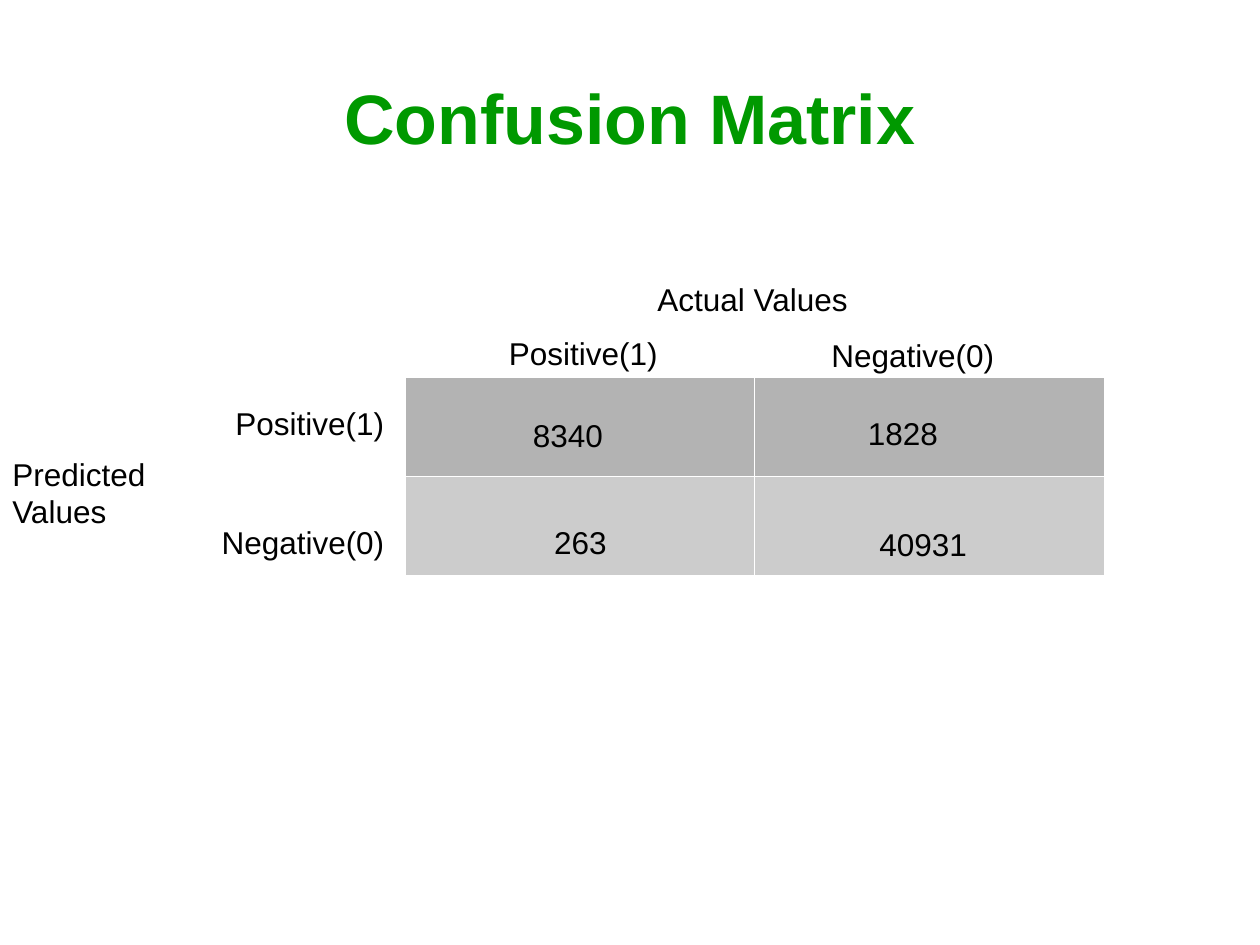
from dataclasses import dataclass
from typing import Any

from lxml.etree import SubElement
from pptx import Presentation
from pptx.dml.color import RGBColor
from pptx.enum.text import MSO_ANCHOR, MSO_AUTO_SIZE, PP_ALIGN
from pptx.oxml.ns import qn
from pptx.util import Pt


@dataclass
class Label:
    text: str
    left: float
    top: float
    width: float
    height: float = 27.4
    wrap: bool = False


LABELS = [
    Label("Positive(1)", 283.7, 187.2, 99.4),
    Label("Negative(0)", 468, 188.6, 107.3),
    Label("Positive(1)", 127.4, 227.5, 99.4),
    Label("Negative(0)", 119.5, 295.2, 107.3),
    Label("Actual Values", 368.6, 156.2, 123.1),
    Label("Predicted Values", 0, 256.3, 148.3, 47.5, True),
    Label("8340", 297.4, 234, 85, 31, True),
    Label("1828", 488.9, 233.3, 54.7, 31),
    Label("263", 309.6, 295.2, 44.6, 31),
    Label("40931", 495.4, 296.6, 64.8, 31),
]
BODY = {"name": "Arial", "size": Pt(18)}
HEAD = {"name": "Arial", "size": Pt(40), "bold": True}
ROWS = ["B3B3B3", "CCCCCC"]


def paint(item: Any, color: str) -> None:
    item.rgb = RGBColor.from_string(color)


def apply(item: Any, values: dict) -> None:
    for key, value in values.items():
        setattr(item, key, value)


def style(frame: Any, text: str, font: dict, color: str) -> None:
    frame.text = text
    run = frame.paragraphs[0].runs[0]
    apply(run.font, font)
    paint(run.font.color, color)


def add_title(slide: Any, text: str) -> None:
    title = slide.shapes.title
    apply(title, {"left": Pt(36), "top": Pt(21.6), "width": Pt(648), "height": Pt(90)})
    frame = title.text_frame
    style(frame, text, HEAD, "009900")
    apply(frame, {"vertical_anchor": MSO_ANCHOR.MIDDLE, "auto_size": MSO_AUTO_SIZE.NONE})
    frame.paragraphs[0].alignment = PP_ALIGN.CENTER


def add_edges(cell: Any, color: str) -> None:
    props = cell._tc.get_or_add_tcPr()
    for place, side in enumerate(("lnL", "lnR", "lnT", "lnB")):
        line = props.makeelement(qn(f"a:{side}"), {"w": str(Pt(0.06))})
        props.insert(place, line)
        fill = SubElement(line, qn("a:solidFill"))
        SubElement(fill, qn("a:srgbClr"), val=color)


def add_matrix(slide: Any) -> None:
    frame = slide.shapes.add_table(2, 2, Pt(231.2), Pt(215.6), Pt(399.6), Pt(113.2))
    table = frame.table
    apply(table, {"first_row": False, "horz_banding": False})
    for row, color in zip(table.rows, ROWS):
        for cell in row.cells:
            cell.fill.solid()
            paint(cell.fill.fore_color, color)
            add_edges(cell, "FFFFFF")


def add_label(slide: Any, label: Label) -> None:
    box = slide.shapes.add_textbox(
        Pt(label.left), Pt(label.top), Pt(label.width), Pt(label.height)
    )
    frame = box.text_frame
    style(frame, label.text, BODY, "000000")
    apply(frame, {"word_wrap": label.wrap, "auto_size": MSO_AUTO_SIZE.SHAPE_TO_FIT_TEXT})


def main() -> None:
    deck = Presentation()
    apply(deck, {"slide_width": Pt(720), "slide_height": Pt(540)})
    slide = deck.slides.add_slide(deck.slide_layouts.get_by_name("Title Only"))
    add_title(slide, "Confusion Matrix")
    add_matrix(slide)
    for label in LABELS:
        add_label(slide, label)
    deck.save("out.pptx")


if __name__ == "__main__":
    main()
